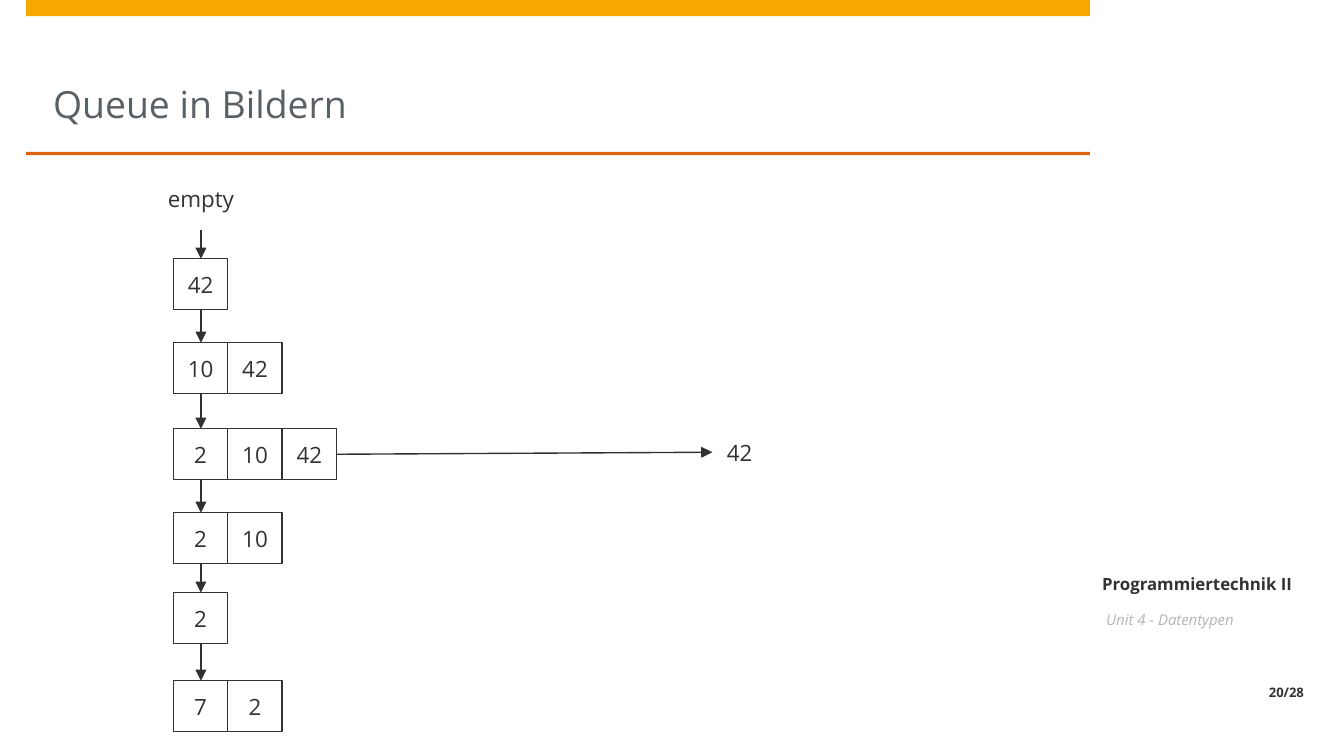
from lxml.etree import SubElement
from pptx import Presentation
from pptx.dml.color import RGBColor
from pptx.enum.shapes import MSO_CONNECTOR, MSO_SHAPE
from pptx.enum.text import MSO_ANCHOR, PP_ALIGN
from pptx.oxml.ns import qn
from pptx.util import Emu, Pt

PX = 4572
FONT = "Open Sans"
INK = "323232"
CELL_WIDTH, CELL_HEIGHT = 81, 76


def px(length):
    return Emu(length * PX)


def color(value):
    return RGBColor.from_string(value)


def write(shape, text, size, ink=INK, align=PP_ALIGN.CENTER,
          anchor=MSO_ANCHOR.MIDDLE, insets=(0, 0, 0, 0), bold=False, italic=False):
    frame = shape.text_frame
    frame.text = text
    frame.word_wrap = True
    frame.vertical_anchor = anchor
    (frame.margin_left, frame.margin_top,
     frame.margin_right, frame.margin_bottom) = map(px, insets)
    paragraph = frame.paragraphs[0]
    paragraph.alignment = align
    font = paragraph.runs[0].font
    font.name, font.size = FONT, Pt(size)
    font.bold, font.italic = bold, italic
    font.color.rgb = color(ink)


def add_text(slide, box, text, size, **style):
    write(slide.shapes.add_textbox(*map(px, box)), text, size, **style)


def add_bar(slide, box, fill):
    bar = slide.shapes.add_shape(MSO_SHAPE.RECTANGLE, *map(px, box))
    bar.shadow.inherit = False
    bar.fill.solid()
    bar.fill.fore_color.rgb = color(fill)
    bar.line.fill.background()


def add_cell(slide, left, top, text):
    cell = slide.shapes.add_shape(
        MSO_SHAPE.RECTANGLE, *map(px, (left, top, CELL_WIDTH, CELL_HEIGHT)))
    cell.shadow.inherit = False
    cell.fill.background()
    cell.line.color.rgb = color(INK)
    cell.line.width = Pt(0.75)
    write(cell, text, 12)


def add_arrow(slide, start, end):
    arrow = slide.shapes.add_connector(MSO_CONNECTOR.STRAIGHT, *map(px, start + end))
    arrow.line.color.rgb = color("313131")
    arrow.line.width = Pt(0.75)
    properties = arrow._element.spPr
    SubElement(properties.find(qn("a:ln")), qn("a:tailEnd"), type="triangle")
    SubElement(properties, qn("a:effectLst"))


def draw_header(slide, left, top, width, height):
    add_bar(slide, (left, top, width, 24), "F6A800")
    add_bar(slide, (left, top + height - 5, width, 5), "DD640C")
    add_text(slide, (left + 40, top + 24, width - 80, height - 29), "Queue in Bildern", 20,
             ink="5A6166", align=PP_ALIGN.LEFT, anchor=MSO_ANCHOR.BOTTOM,
             insets=(0, 0, 0, 39))


def draw_sidebar(slide, left, top, width, height):
    add_text(slide, (left, top, width, 114), "Programmiertechnik II", 9,
             anchor=MSO_ANCHOR.BOTTOM, insets=(0, 0, 20, 10), bold=True)
    add_text(slide, (left, top + 129, width, 104), "Unit 4 - Datentypen", 8,
             ink="B4B4B4", align=PP_ALIGN.LEFT, anchor=MSO_ANCHOR.TOP,
             insets=(24, 0, 20, 10), italic=True)
    add_text(slide, (left, top + height - 40, width, 40), "20/28", 7,
             align=PP_ALIGN.RIGHT, anchor=MSO_ANCHOR.BOTTOM,
             insets=(24, 0, 20, 10), bold=True)


def draw_queue(slide, left, top, width, height):
    states = [(137, ["42"]), (262, ["10", "42"]), (390, ["2", "10", "42"]),
              (515, ["2", "10"]), (634, ["2"]), (height - CELL_HEIGHT, ["7", "2"])]
    first_cell = left + 14
    axis = first_cell + CELL_WIDTH // 2 + 1
    add_text(slide, (left, top, 110, 96), "empty", 12)
    previous_bottom = top + 94
    for offset, values in states:
        row = top + offset
        add_arrow(slide, (axis, previous_bottom), (axis, row))
        for column, value in enumerate(values):
            add_cell(slide, first_cell + column * CELL_WIDTH, row, value)
        previous_bottom = row + CELL_HEIGHT

    offset, values = states[2]
    row = top + offset
    result_left = left + width - CELL_WIDTH
    add_arrow(slide, (first_cell + len(values) * CELL_WIDTH, row + CELL_HEIGHT // 2),
              (result_left, row + 35))
    add_text(slide, (result_left, row - 3, CELL_WIDTH, CELL_HEIGHT), values[-1], 12)


def main():
    presentation = Presentation()
    presentation.slide_width, presentation.slide_height = px(2000), px(1125)
    slide = presentation.slides.add_slide(presentation.slide_layouts[6])
    draw_header(slide, 39, 0, 1583, 231)
    draw_sidebar(slide, 1622, 780, 338, 271)
    draw_queue(slide, 244, 248, 897, 841)
    presentation.save("out.pptx")


if __name__ == "__main__":
    main()
